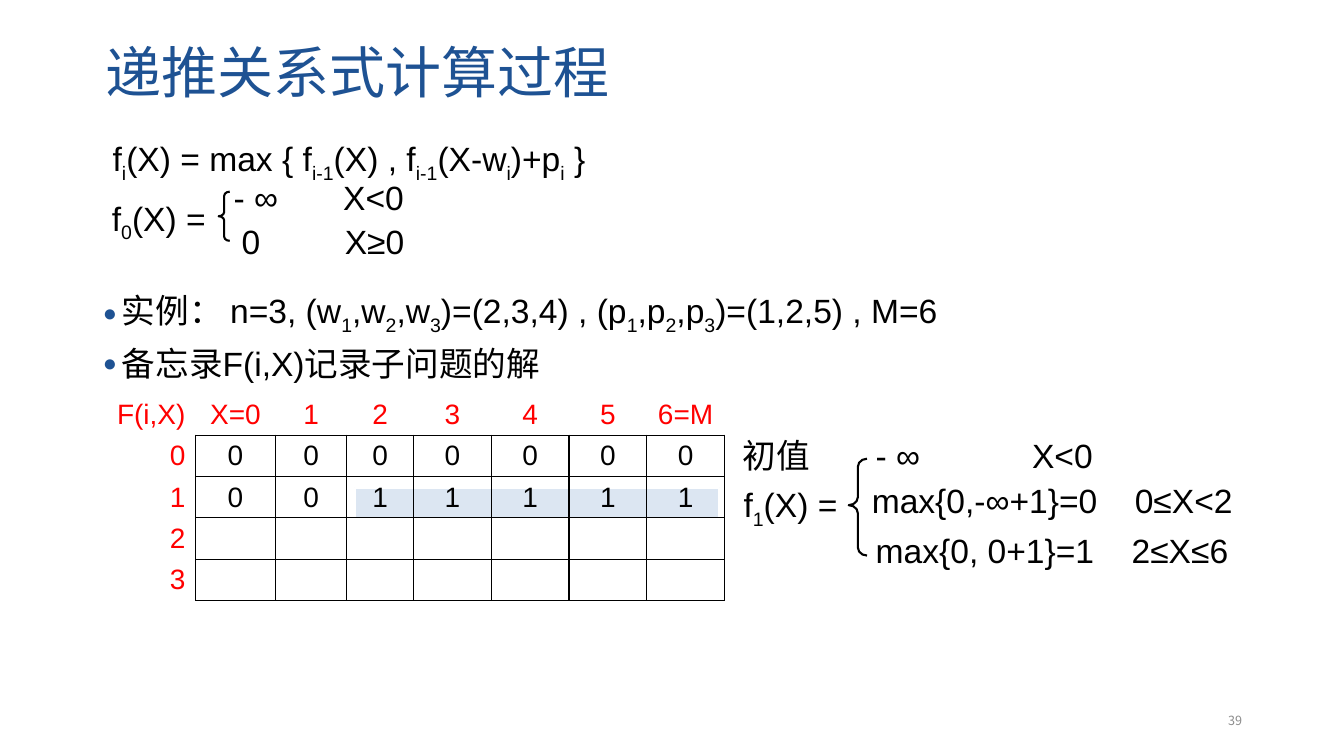
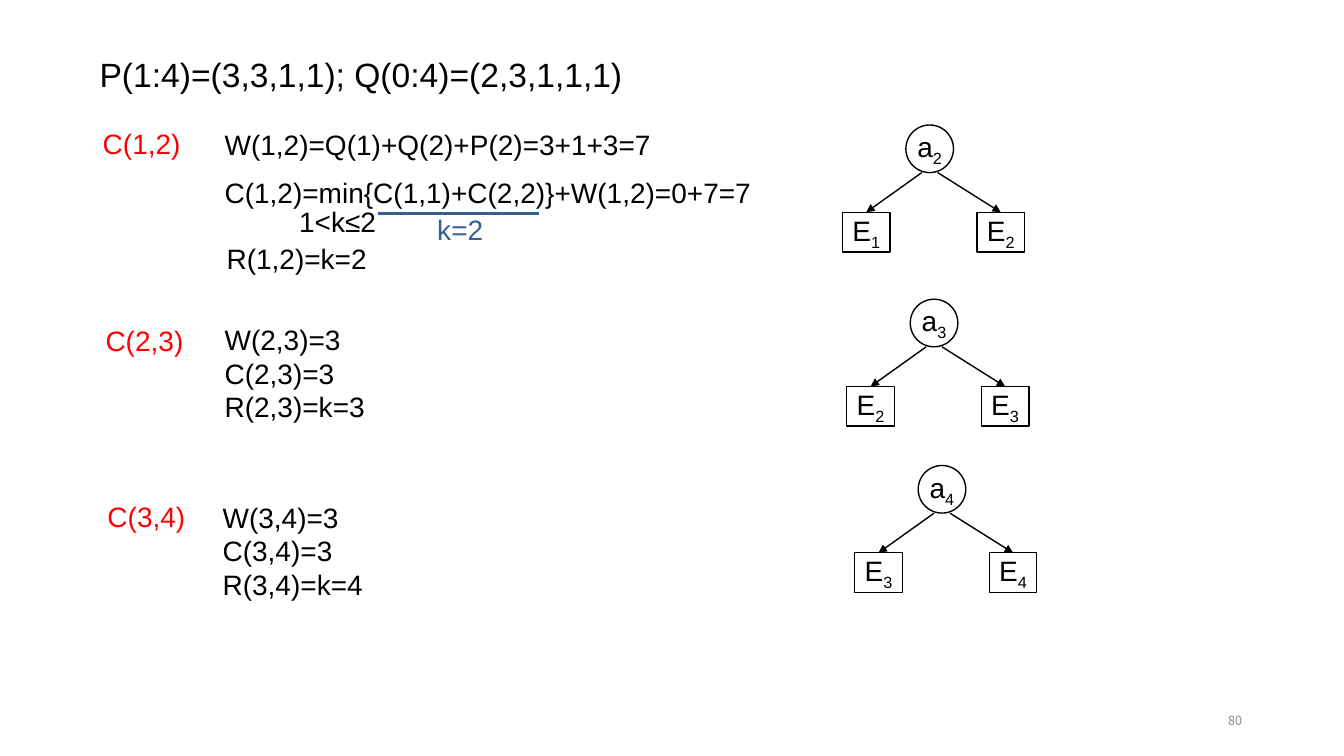
"""Build two slides on dynamic programming: a knapsack table and search trees."""
from lxml.etree import SubElement
from pptx import Presentation
from pptx.dml.color import RGBColor
from pptx.enum.shapes import MSO_CONNECTOR as Connector
from pptx.enum.shapes import MSO_SHAPE as Preset
from pptx.enum.text import MSO_ANCHOR as Anchor
from pptx.enum.text import MSO_AUTO_SIZE as AutoSize
from pptx.enum.text import PP_ALIGN as Align
from pptx.oxml.ns import qn
from pptx.util import Cm, Pt

BLACK, RED, NAVY, STEEL = "000000", "FF0000", "1E5293", "376092"
PALE, WHITE, GREY = "DCE6F2", "FFFFFF", "8C8C8C"
LATIN, CHINESE = "Arial", "Noto Sans CJK SC"
WIDE_INSET, THIN_INSET, NO_INSET = (0.25, 0.13), (0.1, 0.1), (0, 0)
COLUMN_WIDTHS = [2.34, 2.01, 1.8, 1.68] + [1.96] * 4
ROW_HEIGHT = 1.04
TABLE_ROWS = [
    ["F(i,X)", "X=0", "1", "2", "3", "4", "5", "6=M"],
    ["0"] * 8,
    ["1", "0", "0"] + ["1"] * 5,
    ["2"] + [""] * 7,
    ["3"] + [""] * 7,
]


def rgb(value):
    """Return the colour for a hex string."""
    return RGBColor.from_string(value)


def place(shape, box):
    """Move and size a shape by left, top, width and height in centimetres."""
    shape.left, shape.top, shape.width, shape.height = map(Cm, box)


def add_bullet(paragraph):
    """Give a paragraph a small round bullet with a hanging indent."""
    properties = paragraph._p.get_or_add_pPr()
    properties.set("marL", str(Cm(0.48)))
    properties.set("indent", str(-Cm(0.48)))
    color = SubElement(properties, qn("a:buClr"))
    SubElement(color, qn("a:srgbClr"), val=NAVY)
    SubElement(properties, qn("a:buSzPct"), val="70000")
    SubElement(properties, qn("a:buFont"), typeface=LATIN)
    SubElement(properties, qn("a:buChar"), char="●")


def add_tab(paragraph, position):
    """Add a left tab stop to a paragraph."""
    tabs = SubElement(paragraph._p.get_or_add_pPr(), qn("a:tabLst"))
    SubElement(tabs, qn("a:tab"), pos=str(Cm(position)), algn="l")


def add_run(paragraph, text, size, color, font, subscript):
    """Append a formatted run, lowered if it is a subscript."""
    run = paragraph.add_run()
    run.text = text
    run.font.size = Pt(size)
    run.font.color.rgb = rgb(color)
    run.font.name = font
    properties = run._r.get_or_add_rPr()
    SubElement(properties, qn("a:ea"), typeface=CHINESE)
    if subscript:
        properties.set("baseline", "-25000")


def write(frame, text, size=24, color=BLACK, font=LATIN, align=Align.LEFT,
          spacing=None, tab=None, bullet=False):
    """Write lines of text, reading parts between tildes as subscripts."""
    for index, line in enumerate(text.split("\n")):
        paragraph = frame.add_paragraph() if index else frame.paragraphs[0]
        if bullet:
            add_bullet(paragraph)
        if tab:
            add_tab(paragraph, tab)
        paragraph.alignment = align
        paragraph.space_before = Pt(0)
        if spacing:
            paragraph.line_spacing = spacing
        for number, part in enumerate(line.split("~")):
            if part:
                add_run(paragraph, part, size, color, font, number % 2 == 1)


def fill_frame(shape, text, inset=WIDE_INSET, anchor=Anchor.TOP, wrap=True, **style):
    """Set up the text frame of a shape and write into it."""
    frame = shape.text_frame
    frame.word_wrap = wrap
    frame.auto_size = AutoSize.NONE
    frame.vertical_anchor = anchor
    frame.margin_left = frame.margin_right = Cm(inset[0])
    frame.margin_top = frame.margin_bottom = Cm(inset[1])
    write(frame, text, **style)


def add_text(slide, text, box, **style):
    """Add a text box."""
    fill_frame(slide.shapes.add_textbox(*map(Cm, box)), text, **style)


def set_placeholder(shape, text, box, **style):
    """Move a placeholder and fill it with text."""
    place(shape, box)
    fill_frame(shape, text, **style)


def add_page_number(slide, number):
    """Add the page number at the lower right."""
    add_text(slide, number, (23.93, 17.65, 7.62, 1.02), size=9, color=GREY,
             font=CHINESE, align=Align.RIGHT, anchor=Anchor.MIDDLE)


def add_preset(slide, preset, box, fill=None, line=BLACK, weight=1.5):
    """Add a preset shape with an outline and an optional fill."""
    shape = slide.shapes.add_shape(preset, *map(Cm, box))
    shape.shadow.inherit = False
    if fill:
        shape.fill.solid()
        shape.fill.fore_color.rgb = rgb(fill)
    else:
        shape.fill.background()
    shape.line.color.rgb = rgb(line)
    shape.line.width = Pt(weight)
    return shape


def add_brace(slide, box, curve, point):
    """Add a left brace with its curve size and point height."""
    brace = add_preset(slide, Preset.LEFT_BRACE, box)
    brace.adjustments[0], brace.adjustments[1] = curve, point


def add_line(slide, start, end, color=BLACK, weight=1, arrow=False):
    """Add a straight line, with an arrowhead at its end if asked."""
    line = slide.shapes.add_connector(Connector.STRAIGHT, *map(Cm, start + end))
    line.line.color.rgb = rgb(color)
    line.line.width = Pt(weight)
    if arrow:
        SubElement(line.line._get_or_add_ln(), qn("a:tailEnd"), type="triangle")
    SubElement(line._element.spPr, qn("a:effectLst"))


def set_borders(cell, sides):
    """Draw black borders on the named sides and none on the others."""
    properties = cell._tc.get_or_add_tcPr()
    for side in "LRTB":
        border = SubElement(properties, qn(f"a:ln{side}"), w=str(Pt(1)))
        if side in sides:
            fill = SubElement(border, qn("a:solidFill"))
            SubElement(fill, qn("a:srgbClr"), val=BLACK)
        else:
            SubElement(border, qn("a:noFill"))


def add_memo_table(slide, left, top):
    """Add the memo table with red headings outside its grid."""
    size = (sum(COLUMN_WIDTHS), ROW_HEIGHT * len(TABLE_ROWS))
    table = slide.shapes.add_table(len(TABLE_ROWS), len(COLUMN_WIDTHS),
                                   *map(Cm, (left, top) + size)).table
    table.first_row = table.horz_banding = False
    for column, width in zip(table.columns, COLUMN_WIDTHS):
        column.width = Cm(width)
    for row_index, values in enumerate(TABLE_ROWS):
        table.rows[row_index].height = Cm(ROW_HEIGHT)
        for column_index, value in enumerate(values):
            cell = table.cell(row_index, column_index)
            inside = row_index and column_index
            sides = "LRTB" if inside else "B" if column_index else "R" if row_index else ""
            set_borders(cell, sides)
            cell.fill.background()
            cell.vertical_anchor = Anchor.MIDDLE
            cell.margin_top = cell.margin_bottom = Cm(0.1)
            write(cell.text_frame, value, size=20, color=BLACK if inside else RED,
                  align=Align.CENTER if column_index else Align.RIGHT)


def add_node(slide, preset, text, box):
    """Add a tree node with a centred label."""
    fill_frame(add_preset(slide, preset, box, weight=1), text, size=20, wrap=False,
               inset=NO_INSET, anchor=Anchor.MIDDLE, align=Align.CENTER)


def add_tree(slide, root, left, top):
    """Add a root circle with arrows to its two leaf boxes."""
    node, leaf_height, drop = 1.2, 1, 2.2
    add_node(slide, Preset.OVAL, f"a~{root}~", (left, top, node, node))
    for leaf, shift, side in ((root - 1, -1.6, -0.2), (root, 1.79, 0.2)):
        leaf_left, leaf_top = left + shift, top + drop
        add_node(slide, Preset.RECTANGLE, f"E~{leaf}~",
                 (leaf_left, leaf_top, node, leaf_height))
        add_line(slide, (left + node / 2 + side, top + node),
                 (leaf_left + node / 2, leaf_top), arrow=True)


def build_recurrence(presentation):
    """Build the slide on computing the recurrence."""
    slide = presentation.slides.add_slide(presentation.slide_layouts[1])
    set_placeholder(slide.shapes.title, "递推关系式计算过程", (2.41, 0.66, 29.21, 2.46),
                    size=40, color=NAVY, spacing=0.9, anchor=Anchor.MIDDLE)
    set_placeholder(
        slide.placeholders[1],
        "实例： n=3, (w~1~,w~2~,w~3~)=(2,3,4) , (p~1~,p~2~,p~3~)=(1,2,5) , M=6\n"
        "备忘录F(i,X)记录子问题的解",
        (2.34, 7.14, 28.19, 2.8), spacing=Pt(34), bullet=True)
    add_preset(slide, Preset.RECTANGLE, (8.94, 12.29, 9.19, 0.79), PALE, WHITE)
    add_memo_table(slide, 2.59, 9.93)
    for text, box, tab in (
        ("f~i~(X) = max { f~i-1~(X) , f~i-1~(X-w~i~)+p~i~ }", (2.59, 3.35, 19.61, 1.3), None),
        ("f~0~(X) =", (2.57, 4.85, 3.28, 1.3), None),
        ("- ∞\tX<0", (5.64, 4.32, 6.15, 1.3), 2.76),
        ("0\tX≥0", (5.84, 5.44, 5.38, 1.3), 2.6),
        ("初值", (18.47, 10.82, 2.39, 1.3), None),
        ("f~1~(X) =", (18.49, 12.07, 3.23, 1.3), None),
        ("- ∞\tX<0", (21.82, 10.82, 9.68, 1.3), 3.94),
        ("max{0,-∞+1}=0\t0≤X<2", (21.72, 11.96, 10.57, 1.3), 6.63),
        ("max{0, 0+1}=1\t2≤X≤6", (21.82, 13.23, 9.88, 1.3), 6.45),
    ):
        add_text(slide, text, box, tab=tab, font=CHINESE if text == "初值" else LATIN)
    add_brace(slide, (5.51, 4.83, 0.28, 1.24), 0.38, 0.5)
    add_brace(slide, (21.39, 11.56, 0.46, 2.44), 0.44, 0.48)
    add_page_number(slide, "39")


def build_search_trees(presentation):
    """Build the slide on optimal search trees with two keys."""
    slide = presentation.slides.add_slide(presentation.slide_layouts[5])
    set_placeholder(slide.shapes.title, "P(1:4)=(3,3,1,1); Q(0:4)=(2,3,1,1,1)",
                    (2.41, 1.37, 18.8, 1.12), inset=THIN_INSET, spacing=0.9)
    for text, box, color in (
        ("W(1,2)=Q(1)+Q(2)+P(2)=3+1+3=7", (5.56, 3.12, 13.64, 1.07), BLACK),
        ("C(1,2)=min{C(1,1)+C(2,2)}+W(1,2)=0+7=7", (5.56, 4.32, 16.48, 1.07), BLACK),
        ("1<k≤2", (7.44, 5.05, 2.4, 1.07), BLACK),
        ("k=2", (10.92, 5.26, 1.6, 1.07), STEEL),
        ("R(1,2)=k=2", (5.61, 5.99, 4.6, 1.07), BLACK),
    ):
        add_text(slide, text, box, size=20, color=color, inset=THIN_INSET)
    for text, left, top in (
        ("W(2,3)=3\nC(2,3)=3\nR(2,3)=k=3", 5.56, 8.03),
        ("W(3,4)=3\nC(3,4)=3\nR(3,4)=k=4", 5.51, 12.5),
    ):
        add_text(slide, text, (left, top, 4.8, 2.77), size=20, inset=THIN_INSET,
                 spacing=Pt(24))
    for text, left, top in (("C(1,2)", 2.34, 3.07), ("C(2,3)", 2.41, 8.03),
                            ("C(3,4)", 2.46, 12.45)):
        add_text(slide, text, (left, top, 3, 1.12), size=20, color=RED)
    add_line(slide, (9.53, 5.38), (13.59, 5.38), STEEL, 2.25)
    for root, left, top in ((2, 22.83, 3.15), (3, 22.94, 7.54), (4, 23.14, 11.73)):
        add_tree(slide, root, left, top)
    add_page_number(slide, "80")


def main():
    """Create the presentation and save it."""
    presentation = Presentation()
    presentation.slide_width, presentation.slide_height = Cm(33.87), Cm(19.05)
    build_recurrence(presentation)
    build_search_trees(presentation)
    presentation.save("out.pptx")


if __name__ == "__main__":
    main()
